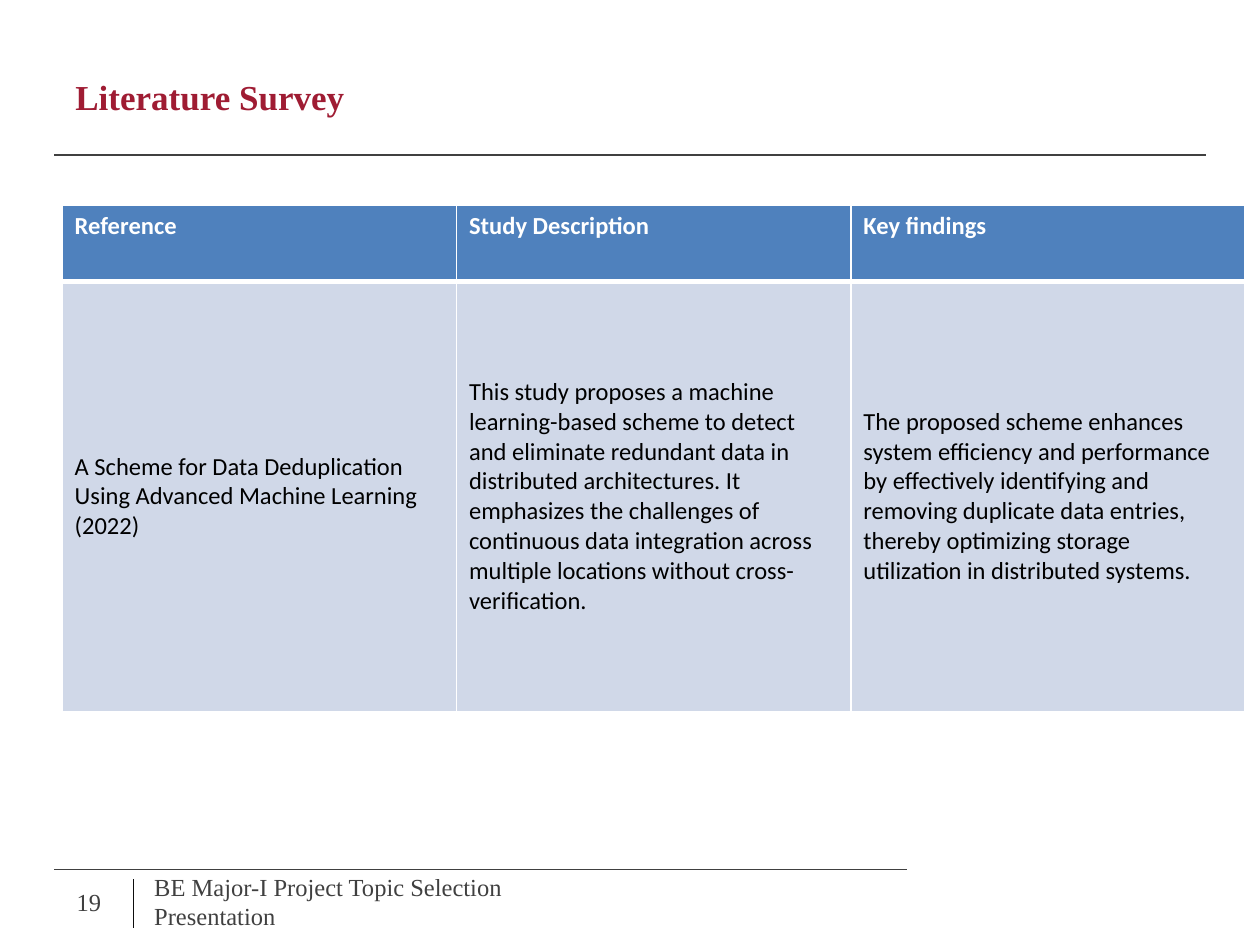
import pptx
import pptx.dml.color
import pptx.enum.shapes
import pptx.enum.text
import pptx.oxml
import pptx.oxml.ns
import pptx.util

Pt = pptx.util.Pt
RGBColor = pptx.dml.color.RGBColor
ANCHOR = pptx.enum.text.MSO_ANCHOR

CRIMSON = RGBColor(0x9F, 0x1C, 0x33)
GREY = RGBColor(0x40, 0x40, 0x40)
NEAR_BLACK = RGBColor(0x0D, 0x0D, 0x0D)
BLACK = RGBColor(0, 0, 0)
WHITE = RGBColor(0xFF, 0xFF, 0xFF)
HEADER_BLUE = RGBColor(0x4F, 0x81, 0xBD)
BODY_BLUE = RGBColor(0xD0, 0xD8, 0xE8)

SERIF = "Times New Roman"
SANS = "Calibri"

SURVEY = [
    ["Reference", "Study Description", "Key findings"],
    [
        "A Scheme for Data Deduplication Using Advanced Machine Learning (2022)",
        "This study proposes a machine learning-based scheme to detect and "
        "eliminate redundant data in distributed architectures. It emphasizes "
        "the challenges of continuous data integration across multiple "
        "locations without cross-verification.",
        "The proposed scheme enhances system efficiency and performance by "
        "effectively identifying and removing duplicate data entries, thereby "
        "optimizing storage utilization in distributed systems.",
    ],
]
COLUMN_WIDTH = 225.36
ROW_HEIGHTS = [43.92, 245.52]


def write_text(frame, text, *, size=14, font=SERIF, color=GREY, bold=False):
    frame.word_wrap = True
    span = frame.paragraphs[0].add_run()
    span.text = text
    span.font.size = Pt(size)
    span.font.name = font
    span.font.bold = bold
    span.font.color.rgb = color


def add_text(page, left, top, width, height, text, **text_format):
    box = page.shapes.add_textbox(Pt(left), Pt(top), Pt(width), Pt(height))
    box.text_frame.vertical_anchor = ANCHOR.MIDDLE
    write_text(box.text_frame, text, **text_format)


def add_rule(page, x1, y1, x2, y2, color=GREY):
    rule = page.shapes.add_connector(
        pptx.enum.shapes.MSO_CONNECTOR.STRAIGHT, Pt(x1), Pt(y1), Pt(x2), Pt(y2))
    rule.line.color.rgb = color
    rule.line.width = Pt(0.75)
    rule._element.spPr.append(pptx.oxml.parse_xml(
        f'<a:effectLst {pptx.oxml.ns.nsdecls("a")}/>'))


def set_borders(cell, **widths):
    """Draw white cell edges; they must come before the fill, in L R T B order."""
    properties = cell._tc.get_or_add_tcPr()
    for index, side in enumerate("LRTB"):
        properties.insert(index, pptx.oxml.parse_xml(
            f'<a:ln{side} {pptx.oxml.ns.nsdecls("a")} w="{Pt(widths.get(side, 1))}">'
            f'<a:solidFill><a:srgbClr val="{WHITE}"/></a:solidFill></a:ln{side}>'))


def add_survey_table(page, left, top):
    columns = len(SURVEY[0])
    table = page.shapes.add_table(
        len(SURVEY), columns, Pt(left), Pt(top),
        Pt(columns * COLUMN_WIDTH), Pt(sum(ROW_HEIGHTS))).table
    for column in table.columns:
        column.width = Pt(COLUMN_WIDTH)
    for row_index, texts in enumerate(SURVEY):
        header = row_index == 0
        table.rows[row_index].height = Pt(ROW_HEIGHTS[row_index])
        for column_index, text in enumerate(texts):
            cell = table.cell(row_index, column_index)
            cell.fill.solid()
            cell.fill.fore_color.rgb = HEADER_BLUE if header else BODY_BLUE
            cell.vertical_anchor = ANCHOR.TOP if header else ANCHOR.MIDDLE
            write_text(cell.text_frame, text, font=SANS, bold=header,
                       color=WHITE if header else BLACK)
            # The edge between header and body is thicker
            set_borders(cell, **({"B": 3} if header else {"T": 3}))


def main():
    deck = pptx.Presentation()
    deck.slide_width, deck.slide_height = Pt(720), Pt(540)
    page = deck.slides.add_slide(deck.slide_layouts[6])

    # Rules under the title and around the footer
    add_rule(page, 31, 88.5, 689, 88.5)
    add_rule(page, 31, 497, 518.5, 497)
    add_rule(page, 76.5, 502.5, 76.5, 530.5, color=NEAR_BLACK)

    # Title and table
    add_text(page, 36, 21.6, 648, 67, "Literature Survey",
             size=20, color=CRIMSON, bold=True)
    add_survey_table(page, 35.5, 117)

    # Footer
    add_text(page, 81, 500.5, 228, 29,
             "BE Major-I Project Topic Selection Presentation")
    add_text(page, 36.75, 500.5, 37.5, 29, "19")

    deck.save("out.pptx")


if __name__ == "__main__":
    main()
